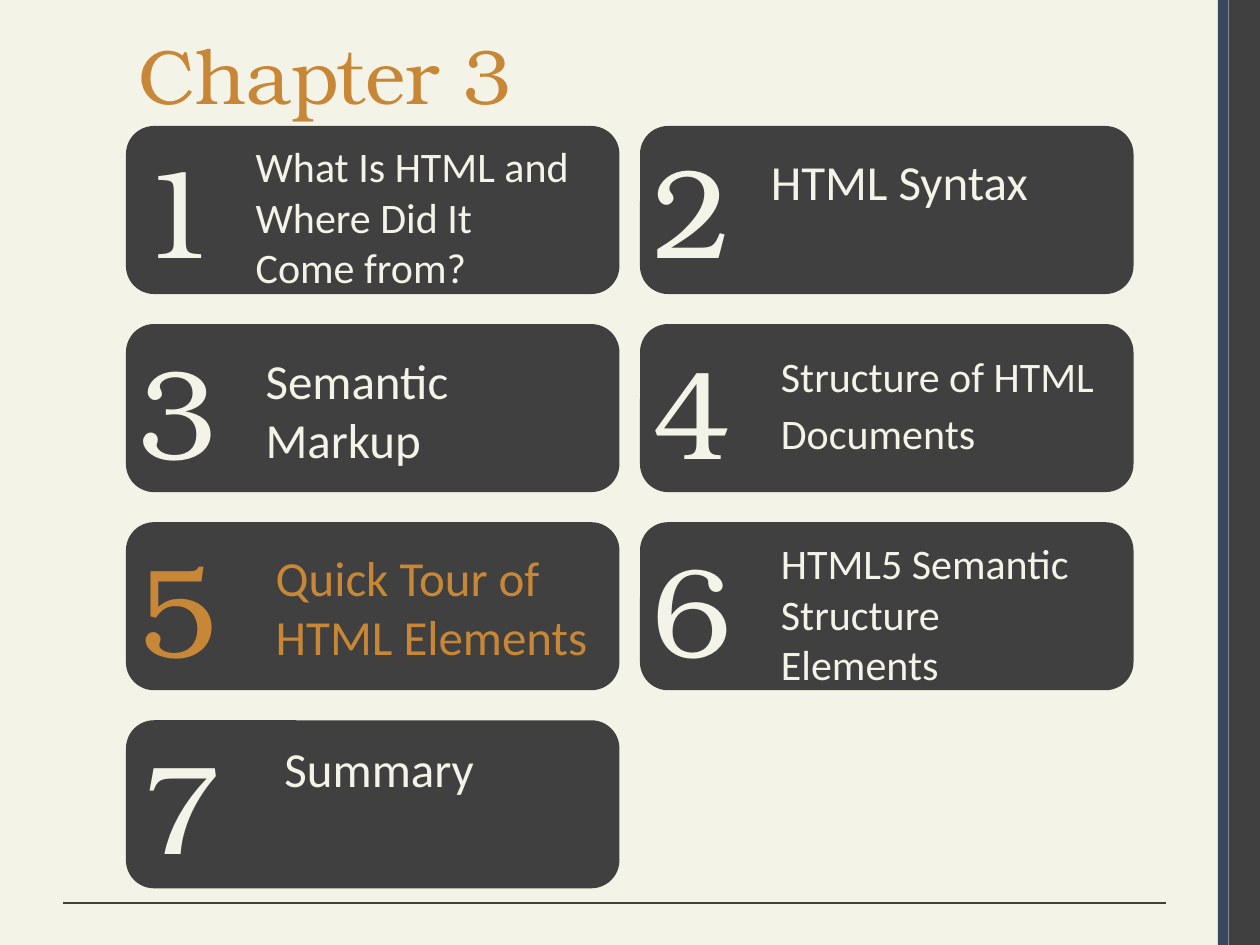
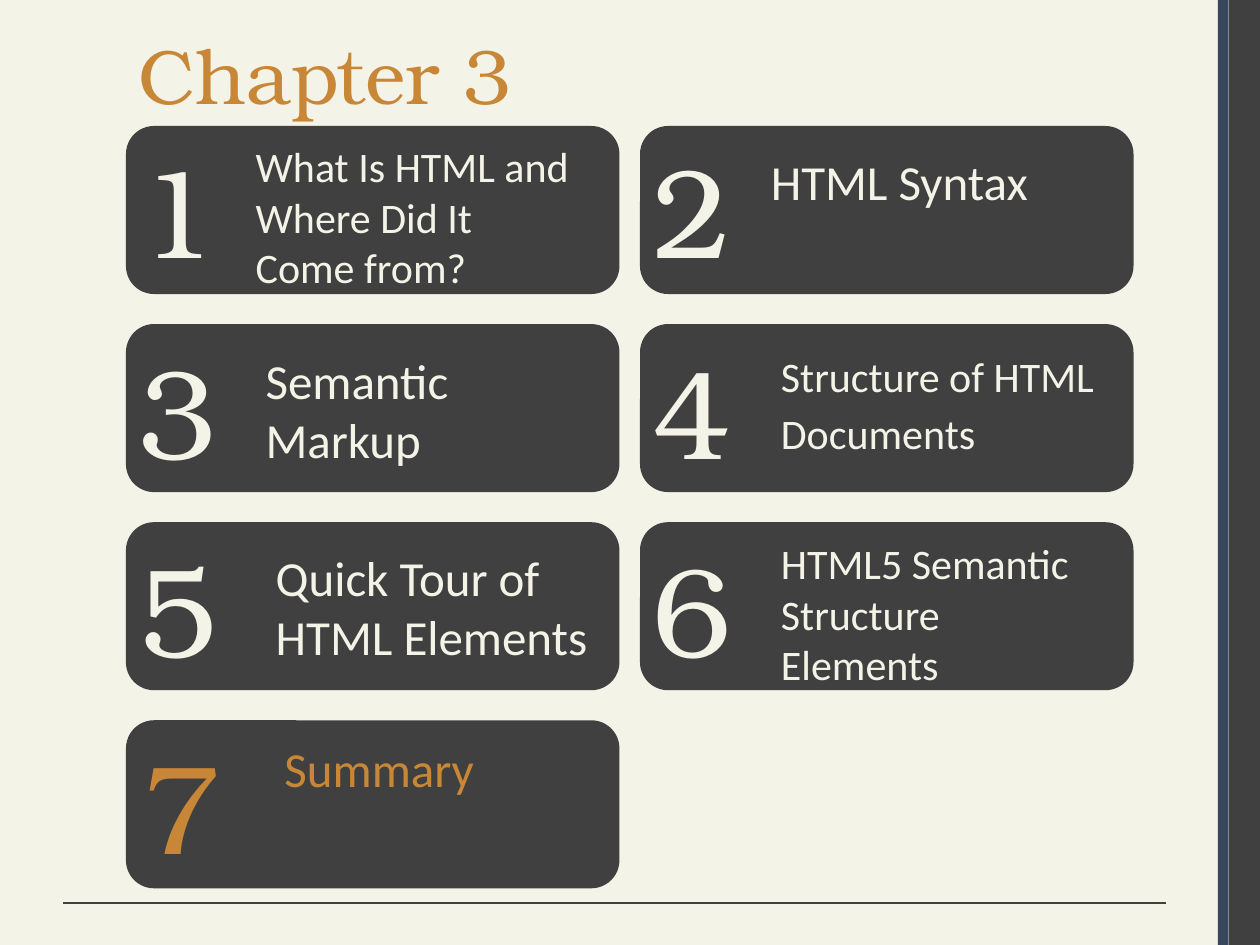
import pptx
import pptx.dml.color
import pptx.enum.shapes
import pptx.enum.text
import pptx.util
from lxml import etree

Pt = pptx.util.Pt
Color = pptx.dml.color.RGBColor
Shape = pptx.enum.shapes.MSO_SHAPE
Anchor = pptx.enum.text.MSO_ANCHOR
Align = pptx.enum.text.PP_ALIGN
Fit = pptx.enum.text.MSO_AUTO_SIZE

CREAM = Color(0xF3, 0xF3, 0xE7)
DARK = Color(0x40, 0x40, 0x40)
NAVY = Color(0x37, 0x47, 0x5F)
GOLD = Color(0xC8, 0x87, 0x36)
SERIF = "TeX Gyre Bonum"
SANS = "Calibri"

WIDE, HIGH = 720, 540
LEFT, TOP = 72, 72
CARD_W, CARD_H = 282, 96
STEP_X, STEP_Y = 293.76, 113.2

# Each topic: text runs with sizes, then the label's left, top and height.
TOPICS = [
    ([("What Is HTML and Where Did It Come from?", 24)], 139, 77, 94.3),
    ([("HTML Syntax", 28)], 433.4, 82.8, 41),
    ([("Semantic Markup", 28)], 144.7, 196.6, 74.9),
    ([("Structure of HTML Documents", 24), (" ", 28)], 439.2, 196.6, 70.6),
    ([("Quick Tour of HTML Elements", 28)], 150.5, 309.6, 74.9),
    ([("HTML5 Semantic Structure Elements", 24)], 439.2, 303.8, 94.3),
    ([("Summary", 28)], 155.5, 418.3, 41),
]
DIGITS = [(72, 72), (365.76, 72), (72, 187.2), (365.76, 187.2),
          (72, 300.2), (365.76, 300.2), (74.2, 412.6)]


def add_run(para, text, size, face, color):
    run = para.add_run()
    run.text = text
    run.font.size = Pt(size)
    run.font.name = face
    run.font.color.rgb = color


def add_block(slide, kind, x, y, w, h, color):
    block = slide.shapes.add_shape(kind, Pt(x), Pt(y), Pt(w), Pt(h))
    block.shadow.inherit = False
    block.fill.solid()
    block.fill.fore_color.rgb = color
    block.line.fill.background()


def add_rule(slide, x1, x2, y):
    rule = slide.shapes.add_connector(
        pptx.enum.shapes.MSO_CONNECTOR.STRAIGHT, Pt(x1), Pt(y), Pt(x2), Pt(y))
    rule.line.color.rgb = DARK
    rule.line.width = Pt(0.75)
    etree.SubElement(rule._element.spPr, pptx.oxml.ns.qn("a:effectLst"))


def add_label(slide, x, y, w, h, runs, face, color):
    box = slide.shapes.add_textbox(Pt(x), Pt(y), Pt(w), Pt(h))
    frame = box.text_frame
    frame.word_wrap = True
    frame.auto_size = Fit.SHAPE_TO_FIT_TEXT
    for text, size in runs:
        add_run(frame.paragraphs[0], text, size, face, color)


def add_frame(slide):
    add_block(slide, Shape.RECTANGLE, 702, 0, 18, HIGH, DARK)
    add_block(slide, Shape.RECTANGLE, 696, 0, 6, HIGH, NAVY)
    add_rule(slide, 666, 36, 516)


def set_title(slide, text):
    title = slide.shapes.title
    title.left, title.top = Pt(LEFT), Pt(12)
    title.width, title.height = Pt(624), Pt(84)
    frame = title.text_frame
    frame.auto_size = Fit.NONE
    frame.vertical_anchor = Anchor.TOP
    para = frame.paragraphs[0]
    para.alignment = Align.LEFT
    add_run(para, text, 44, SERIF, GOLD)


def add_card(slide, index, color):
    row, col = divmod(index, 2)
    add_block(slide, Shape.ROUNDED_RECTANGLE, LEFT + col * STEP_X,
              TOP + row * STEP_Y, CARD_W, CARD_H, DARK)
    x, y = DIGITS[index]
    add_label(slide, x, y, 54, 94.3, [(str(index + 1), 72)], SERIF, color)
    runs, x, y, h = TOPICS[index]
    add_label(slide, x, y, 198.7, h, runs, SANS, color)


def add_menu(deck, active):
    slide = deck.slides.add_slide(deck.slide_layouts[5])
    add_frame(slide)
    set_title(slide, "Chapter 3")
    for index in range(len(TOPICS)):
        add_card(slide, index, GOLD if index + 1 == active else CREAM)


def main():
    deck = pptx.Presentation()
    deck.slide_width, deck.slide_height = Pt(WIDE), Pt(HIGH)
    fill = deck.slide_master.background.fill
    fill.solid()
    fill.fore_color.rgb = CREAM
    for active in (5, 7):
        add_menu(deck, active)
    deck.save("out.pptx")


if __name__ == "__main__":
    main()
